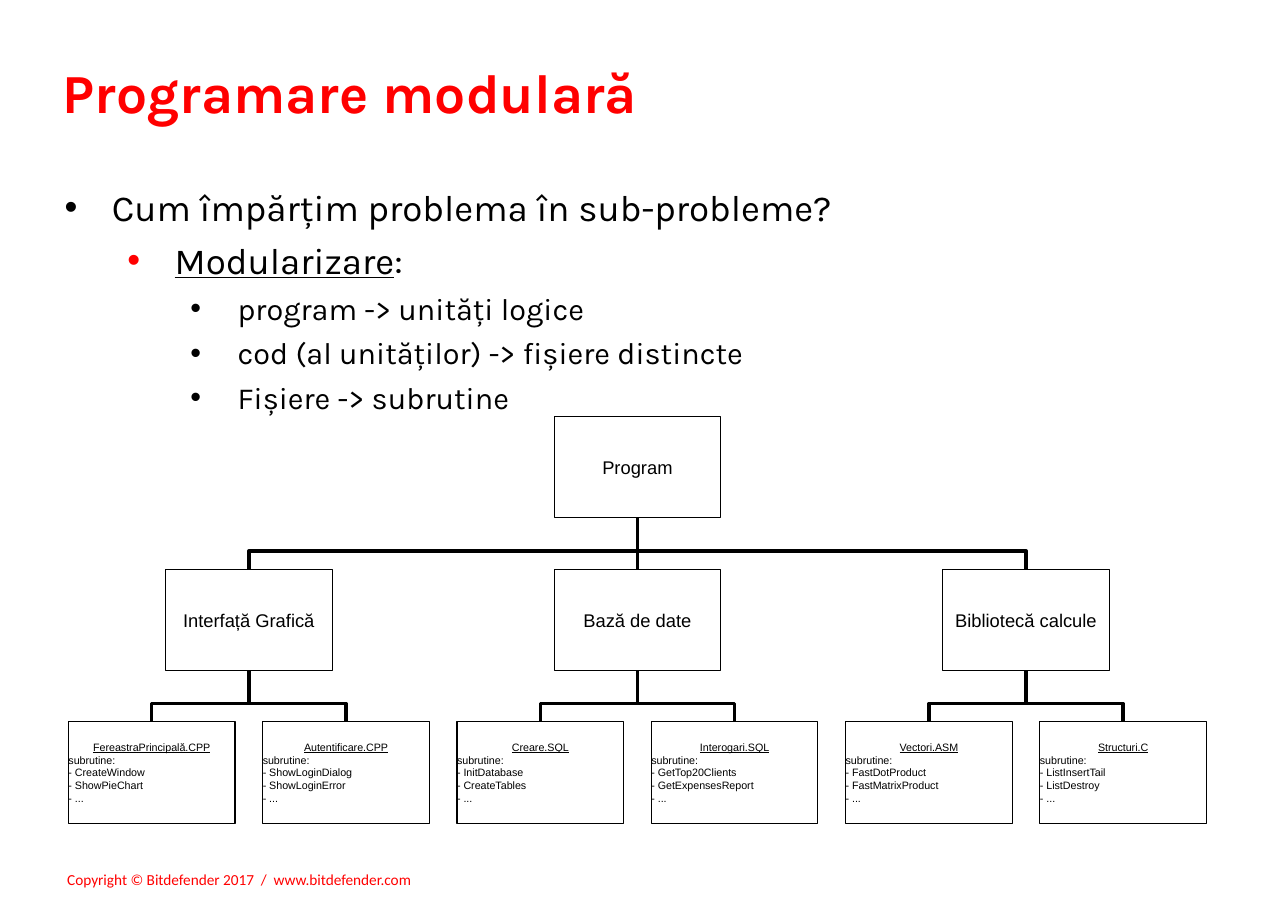
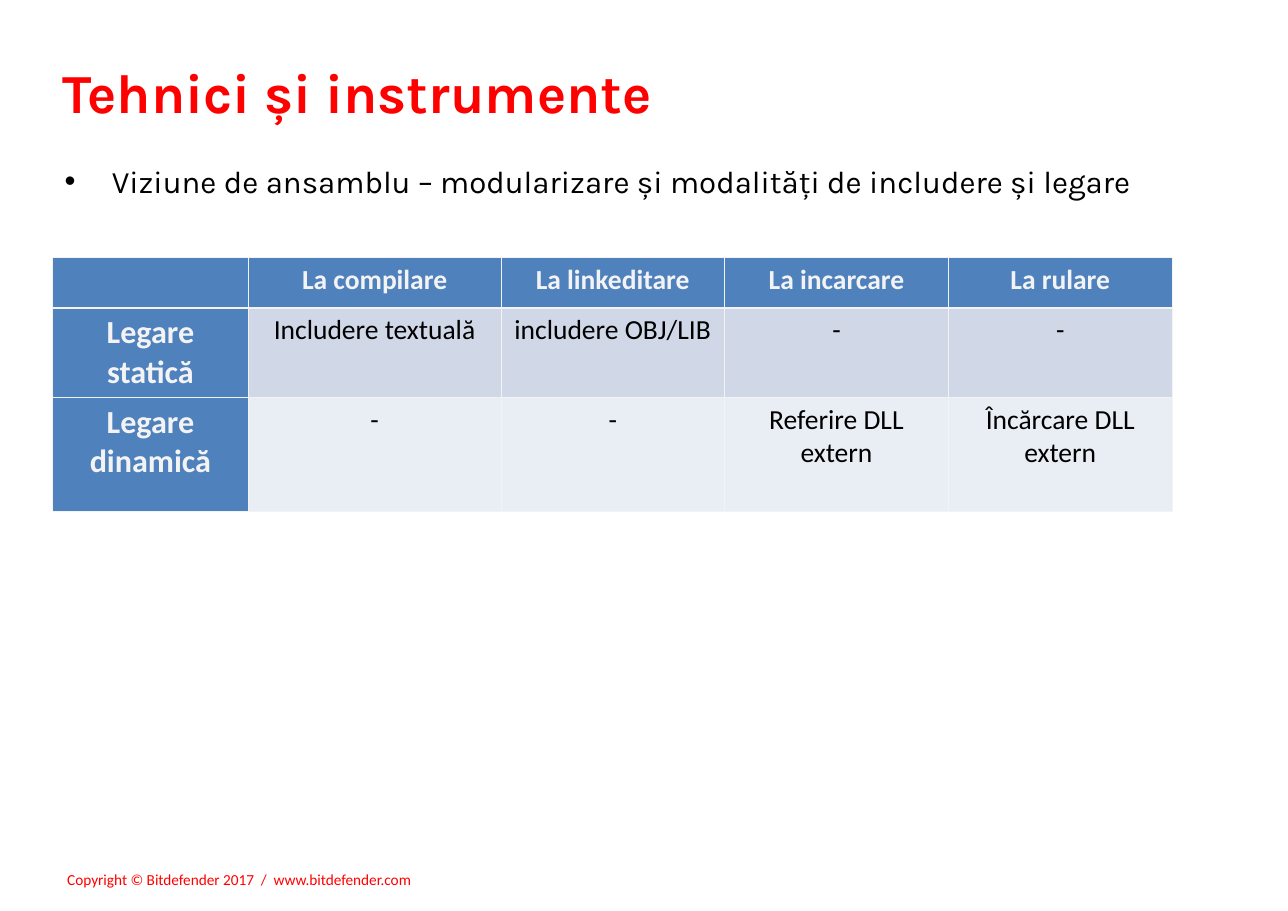
from lxml.etree import SubElement
from pptx import Presentation
from pptx.dml.color import RGBColor
from pptx.enum.shapes import MSO_CONNECTOR as CONNECTOR, MSO_SHAPE as SHAPE
from pptx.enum.text import MSO_ANCHOR as ANCHOR, MSO_AUTO_SIZE as AUTO_SIZE, PP_ALIGN as ALIGN
from pptx.oxml.ns import qn
from pptx.util import Cm, Pt

COLORS = {
    "accent": "FF0000",
    "text": "000000",
    "header": "4F81BD",
    "light": "F3F3F3",
    "band_dark": "D0D8E8",
    "band_light": "E9EDF4",
}
HEADING_FONT, TABLE_FONT, TREE_FONT = "Karla", "Calibri", "Arial"
FOOTER = "Copyright © Bitdefender 2017  /  www.bitdefender.com"

# Tree grid, in cm
BOX_W, BOX_H = 3.84, 2.34
TREE_TOP, ROW_STEP = 9.6, 3.52
FIRST_LEAF_CENTER, LEAF_STEP = 3.5, 4.48

# Outline: level, text, whether the part before the colon is underlined
MODULAR_OUTLINE = [
    (0, "Cum împărțim problema în sub-probleme?"),
    (1, "Modularizare:"),
    (2, "program -> unități logice"),
    (2, "cod (al unităților) -> fișiere distincte"),
    (2, "Fișiere -> subrutine"),
]
# Per outline level: indent in cm, size, space before, bullet colour
LEVELS = [(1.09, 24, 6, "text"), (2.54, 24, 6, "accent"), (3.99, 20, 5, "text")]

MODULES = [
    ("Interfață Grafică", [
        ("FereastraPrincipală.CPP", "CreateWindow", "ShowPieChart"),
        ("Autentificare.CPP", "ShowLoginDialog", "ShowLoginError")]),
    ("Bază de date", [
        ("Creare.SQL", "InitDatabase", "CreateTables"),
        ("Interogari.SQL", "GetTop20Clients", "GetExpensesReport")]),
    ("Bibliotecă calcule", [
        ("Vectori.ASM", "FastDotProduct", "FastMatrixProduct"),
        ("Structuri.C", "ListInsertTail", "ListDestroy")]),
]

LINKING = [
    ["", "La compilare", "La linkeditare", "La incarcare", "La rulare"],
    ["Legare statică", "Includere textuală", "includere OBJ/LIB", "-", "-"],
    ["Legare dinamică", "-", "-", "Referire DLL extern", "Încărcare DLL extern"],
]
COLUMN_WIDTHS = [4.52, 5.82, 5.16, 5.16, 5.16]
ROW_HEIGHTS = [1.15, 2.07, 2.63]


def rgb(color):
    return RGBColor.from_string(COLORS[color])


def style_runs(paragraph, font, size, color="text", bold=False):
    for run in paragraph.runs:
        run.font.name = font
        run.font.size = Pt(size)
        run.font.bold = bold
        run.font.color.rgb = rgb(color)


def add_text_frame(slide, left, top, width, height):
    frame = slide.shapes.add_textbox(Cm(left), Cm(top), Cm(width), Cm(height)).text_frame
    frame.word_wrap = True
    frame.margin_left = frame.margin_right = Cm(0.28)
    frame.margin_top = frame.margin_bottom = Cm(0.15)
    return frame


# Shared frame of every slide: footer and title
def add_slide(prs, title):
    slide = prs.slides.add_slide(prs.slide_layouts[6])
    footer = add_text_frame(slide, 1.27, 19.91, 8.61, 0.71)
    footer.word_wrap = False
    footer.auto_size = AUTO_SIZE.SHAPE_TO_FIT_TEXT
    footer.text = FOOTER
    style_runs(footer.paragraphs[0], TABLE_FONT, 10, "accent")
    heading = add_text_frame(slide, 1.17, 1.2, 22.6, 2)
    heading.text = title
    style_runs(heading.paragraphs[0], HEADING_FONT, 36, "accent", bold=True)
    return slide


# Bulleted text
def add_bullet(paragraph, indent, color):
    props = paragraph._p.get_or_add_pPr()
    props.set("marL", str(Cm(indent)))
    props.set("indent", str(-Cm(1.09)))
    bullet_color = SubElement(props, qn("a:buClr"))
    SubElement(bullet_color, qn("a:srgbClr")).set("val", COLORS[color])
    SubElement(props, qn("a:buFont")).set("typeface", "Arial")
    SubElement(props, qn("a:buChar")).set("char", "•")


def add_outline(frame, outline):
    for index, (level, text) in enumerate(outline):
        paragraph = frame.add_paragraph() if index else frame.paragraphs[0]
        indent, size, before, color = LEVELS[level]
        paragraph.level = level
        add_bullet(paragraph, indent, color)
        if index:
            paragraph.space_before = Pt(before)
        term, colon, _ = text.partition(":")
        paragraph.add_run().text = term
        if colon:
            paragraph.runs[0].font.underline = True
            paragraph.add_run().text = colon
        style_runs(paragraph, HEADING_FONT, size)


# Module tree
def add_box(slide, center, row, text, size=12):
    box = slide.shapes.add_shape(SHAPE.RECTANGLE, Cm(center - BOX_W / 2),
                                 Cm(TREE_TOP + row * ROW_STEP), Cm(BOX_W), Cm(BOX_H))
    box.shadow.inherit = False
    box.fill.background()
    box.line.color.rgb = rgb("text")
    box.line.width = Pt(0.75)
    frame = box.text_frame
    frame.word_wrap = True
    frame.vertical_anchor = ANCHOR.MIDDLE
    frame.margin_left = frame.margin_right = frame.margin_top = frame.margin_bottom = 0
    frame.text = text
    for index, paragraph in enumerate(frame.paragraphs):
        paragraph.alignment = ALIGN.LEFT if index else ALIGN.CENTER
        style_runs(paragraph, TREE_FONT, size)
    return box


def add_leaf(slide, center, source_file, *routines):
    lines = [source_file, "subrutine:", *(f"- {name}" for name in (*routines, "..."))]
    leaf = add_box(slide, center, 2, "\n".join(lines), size=7)
    leaf.text_frame.paragraphs[0].runs[0].font.underline = True
    return leaf


def bend_upwards(branch, start, end):
    """Turn an elbow so that it leaves and arrives vertically."""
    span, gap = abs(end[0] - start[0]), start[1] - end[1]
    branch.left = (start[0] + end[0] - gap) // 2
    branch.top = (start[1] + end[1] - span) // 2
    branch.width, branch.height = gap, span
    from_left = start[0] < end[0]
    frame = branch._element.spPr.find(qn("a:xfrm"))
    frame.set("rot", str((90 if from_left else 270) * 60000))
    frame.set("flipH", "1" if from_left else "0")
    frame.set("flipV", "1")
    geometry = branch._element.spPr.find(qn("a:prstGeom"))
    adjust = SubElement(geometry.find(qn("a:avLst")), qn("a:gd"))
    adjust.set("name", "adj1")
    adjust.set("fmla", "val 35600")


def link(slide, child, parent):
    start = (child.left + child.width // 2, child.top)
    end = (parent.left + parent.width // 2, parent.top + parent.height)
    straight = abs(start[0] - end[0]) < Cm(0.05)
    kind = CONNECTOR.STRAIGHT if straight else CONNECTOR.ELBOW
    branch = slide.shapes.add_connector(kind, *start, *end)
    branch.begin_connect(child, 0)
    branch.end_connect(parent, 2)
    if not straight:
        bend_upwards(branch, start, end)
    branch.line.color.rgb = rgb("text")
    branch.line.width = Pt(2.25)
    SubElement(branch._element.spPr, qn("a:effectLst"))


def add_module_tree(slide):
    def center_of(leaf_position):
        return FIRST_LEAF_CENTER + leaf_position * LEAF_STEP

    program = add_box(slide, center_of(2.5), 0, "Program")
    for index, (name, files) in enumerate(MODULES):
        module = add_box(slide, center_of(2 * index + 0.5), 1, name)
        link(slide, module, program)
        for offset, file_lines in enumerate(files):
            leaf = add_leaf(slide, center_of(2 * index + offset), *file_lines)
            link(slide, leaf, module)


# Linking table
def set_borders(cell, row):
    thick_side = {0: "B", 1: "T"}.get(row)
    for side in "LRTB":
        border = SubElement(cell._tc.get_or_add_tcPr(), qn(f"a:ln{side}"))
        border.set("w", str(Pt(1.47 if side == thick_side else 0.45)))
        fill = SubElement(border, qn("a:solidFill"))
        SubElement(fill, qn("a:srgbClr")).set("val", COLORS["light"])


def add_linking_table(slide):
    table = slide.shapes.add_table(len(LINKING), len(COLUMN_WIDTHS), Cm(1.21), Cm(5.94),
                                   Cm(sum(COLUMN_WIDTHS)), Cm(sum(ROW_HEIGHTS))).table
    for column, width in zip(table.columns, COLUMN_WIDTHS):
        column.width = Cm(width)
    for row, height in zip(table.rows, ROW_HEIGHTS):
        row.height = Cm(height)
    for r, texts in enumerate(LINKING):
        for c, text in enumerate(texts):
            is_header = r == 0 or c == 0
            cell = table.cell(r, c)
            set_borders(cell, r)
            cell.fill.solid()
            band = "band_dark" if r == 1 else "band_light"
            cell.fill.fore_color.rgb = rgb("header" if is_header else band)
            cell.text_frame.text = text
            paragraph = cell.text_frame.paragraphs[0]
            paragraph.alignment = ALIGN.CENTER
            style_runs(paragraph, TABLE_FONT, 18 if c else 21,
                       "light" if is_header else "text", bold=is_header)


def main():
    prs = Presentation()
    prs.slide_width, prs.slide_height = Cm(29.7), Cm(21)

    # Modular programming
    modular = add_slide(prs, "Programare modulară")
    add_outline(add_text_frame(modular, 1.21, 4.11, 24.8, 14), MODULAR_OUTLINE)
    add_module_tree(modular)

    # Techniques and tools
    techniques = add_slide(prs, "Tehnici și instrumente")
    overview = add_text_frame(techniques, 1.21, 3.68, 25.83, 1.8)
    overview.text = "Viziune de ansamblu – modularizare și modalități de includere și legare"
    overview_line = overview.paragraphs[0]
    add_bullet(overview_line, 1.09, "text")
    overview_line.line_spacing = 0.9
    style_runs(overview_line, HEADING_FONT, 20.4)
    add_linking_table(techniques)

    prs.save("out.pptx")


if __name__ == "__main__":
    main()
